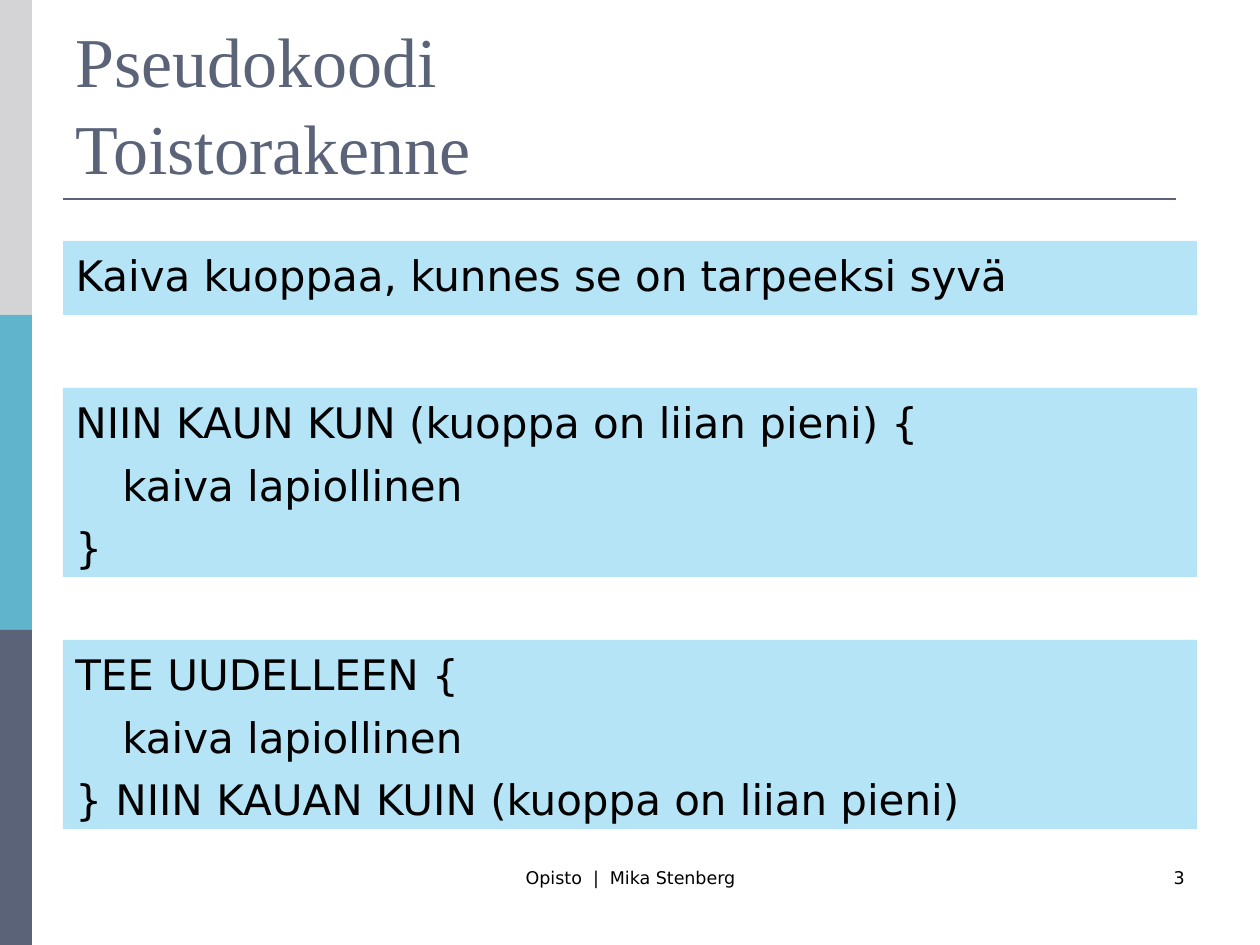
from pptx import Presentation
from pptx.dml.color import RGBColor
from pptx.enum.shapes import MSO_CONNECTOR, MSO_SHAPE
from pptx.enum.text import MSO_ANCHOR, MSO_AUTO_SIZE, PP_ALIGN
from pptx.oxml.ns import qn
from pptx.util import Pt
from lxml.etree import SubElement

PX = 914400 / 126
SLATE = RGBColor(0x5A, 0x63, 0x78)
TEAL = RGBColor(0x60, 0xB5, 0xCC)
GREY = RGBColor(0xD4, 0xD4, 0xD6)
SKY = RGBColor(0xB6, 0xE4, 0xF7)
BLACK = RGBColor(0, 0, 0)
SANS, SERIF = "DejaVu Sans", "Times New Roman"
LINE_HEIGHT = 1.04


def px(*lengths):
    return [round(length * PX) for length in lengths]


def add_run(paragraph, text, size, font, color):
    run = paragraph.add_run()
    run.text = text
    run.font.size = Pt(size)
    run.font.name = font
    run.font.color.rgb = color


prs = Presentation()
prs.slide_width, prs.slide_height = px(1260, 945)
slide = prs.slides.add_slide(prs.slide_layouts[1])
shapes = slide.shapes
title, body = slide.placeholders

# Side band and the rule under the title
for row, color in enumerate((GREY, TEAL, SLATE)):
    band = shapes.add_shape(MSO_SHAPE.RECTANGLE, *px(0, 315 * row, 32, 315))
    band.shadow.inherit = False
    band.fill.solid()
    band.fill.fore_color.rgb = color
    band.line.fill.background()

rule = shapes.add_connector(MSO_CONNECTOR.STRAIGHT, *px(63, 199, 1176, 199))
rule.line.color.rgb = SLATE
rule.line.width = Pt(1.5)
SubElement(rule._element.spPr, qn("a:effectLst"))

# Title
title.left, title.top, title.width, title.height = px(63, 38, 1134, 157)
heading = title.text_frame
heading.auto_size = MSO_AUTO_SIZE.NONE
heading.vertical_anchor = MSO_ANCHOR.BOTTOM
heading_lines = heading.paragraphs[0]
heading_lines.alignment = PP_ALIGN.LEFT
heading_lines.line_spacing = LINE_HEIGHT
add_run(heading_lines, "Pseudokoodi", 40, SERIF, SLATE)
heading_lines.add_line_break()
add_run(heading_lines, "Toistorakenne", 40, SERIF, SLATE)

# Task and its two loops: top, height, lines as (indent, text)
panels = [
    (241, 74, [(0, "Kaiva kuoppaa, kunnes se on tarpeeksi syvä")]),
    (388, 189, [(0, "NIIN KAUN KUN (kuoppa on liian pieni) {"),
                (47, "kaiva lapiollinen"),
                (0, "}")]),
    (640, 189, [(0, "TEE UUDELLEEN {"),
                (47, "kaiva lapiollinen"),
                (0, "} NIIN KAUAN KUIN (kuoppa on liian pieni)")]),
]
for number, (top, height, lines) in enumerate(panels):
    frame = px(63, top, 1134, height)
    if number == 0:
        panel = body
        panel.left, panel.top, panel.width, panel.height = frame
    else:
        panel = shapes.add_shape(MSO_SHAPE.RECTANGLE, *frame)
        panel.shadow.inherit = False
        panel.line.fill.background()
    panel.fill.solid()
    panel.fill.fore_color.rgb = SKY
    code = panel.text_frame
    code.word_wrap = True
    code.auto_size = MSO_AUTO_SIZE.NONE
    code.vertical_anchor = MSO_ANCHOR.TOP
    for index, (indent, text) in enumerate(lines):
        line = code.add_paragraph() if index else code.paragraphs[0]
        line.alignment = PP_ALIGN.LEFT
        line.space_before = Pt(6)
        line.line_spacing = LINE_HEIGHT
        properties = line._p.get_or_add_pPr()
        properties.set("marL", str(px(indent)[0]))
        properties.set("indent", "0")
        SubElement(properties, qn("a:buNone"))
        add_run(line, text, 24, SANS, BLACK)

# Footer and slide number
for left, width, alignment, text in (
    (431, 399, PP_ALIGN.CENTER, "Opisto  |  Mika Stenberg"),
    (903, 294, PP_ALIGN.RIGHT, "3"),
):
    footer = shapes.add_textbox(*px(left, 861, width, 63)).text_frame
    footer.word_wrap = True
    footer.paragraphs[0].alignment = alignment
    add_run(footer.paragraphs[0], text, 10, SANS, BLACK)

prs.save("out.pptx")
